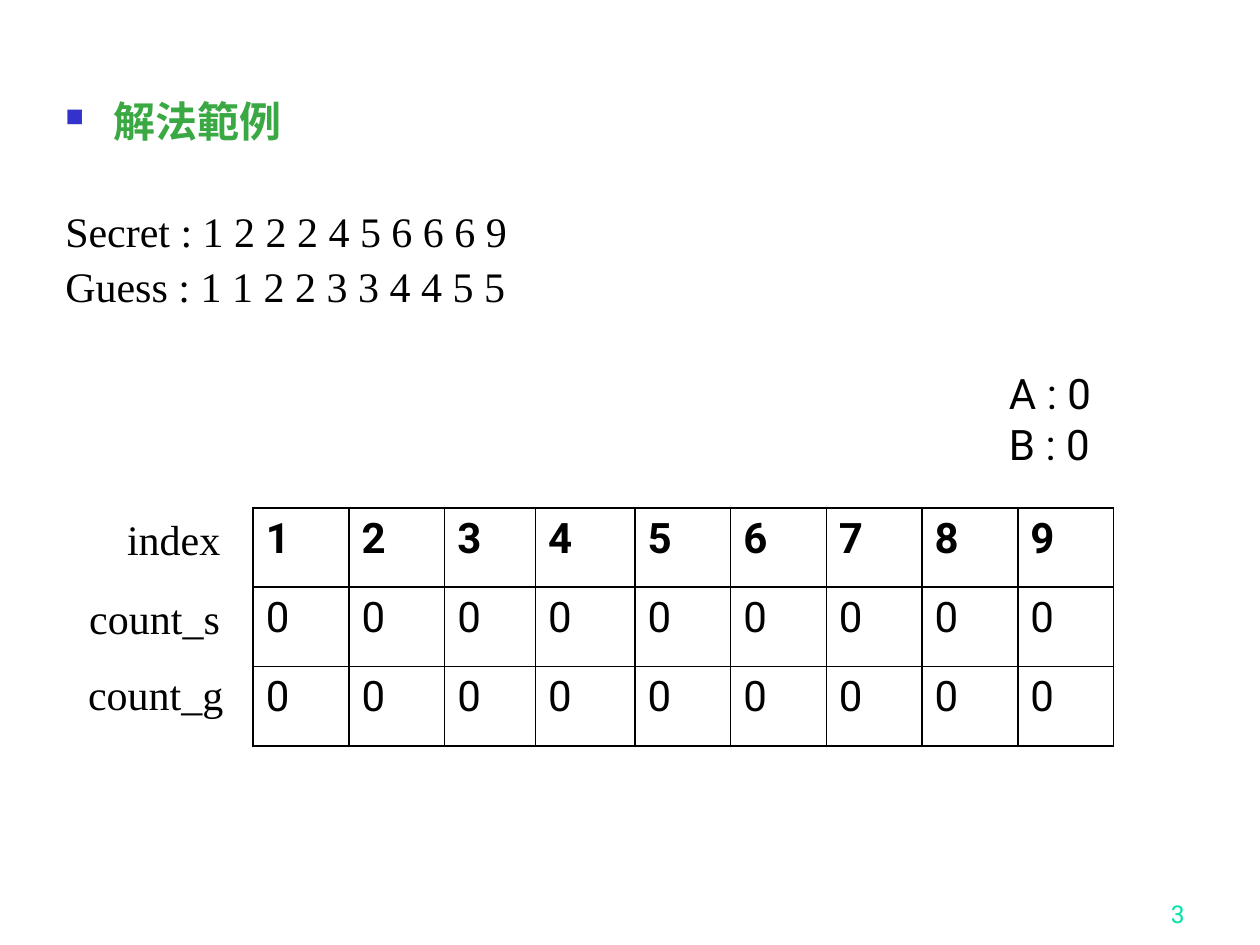
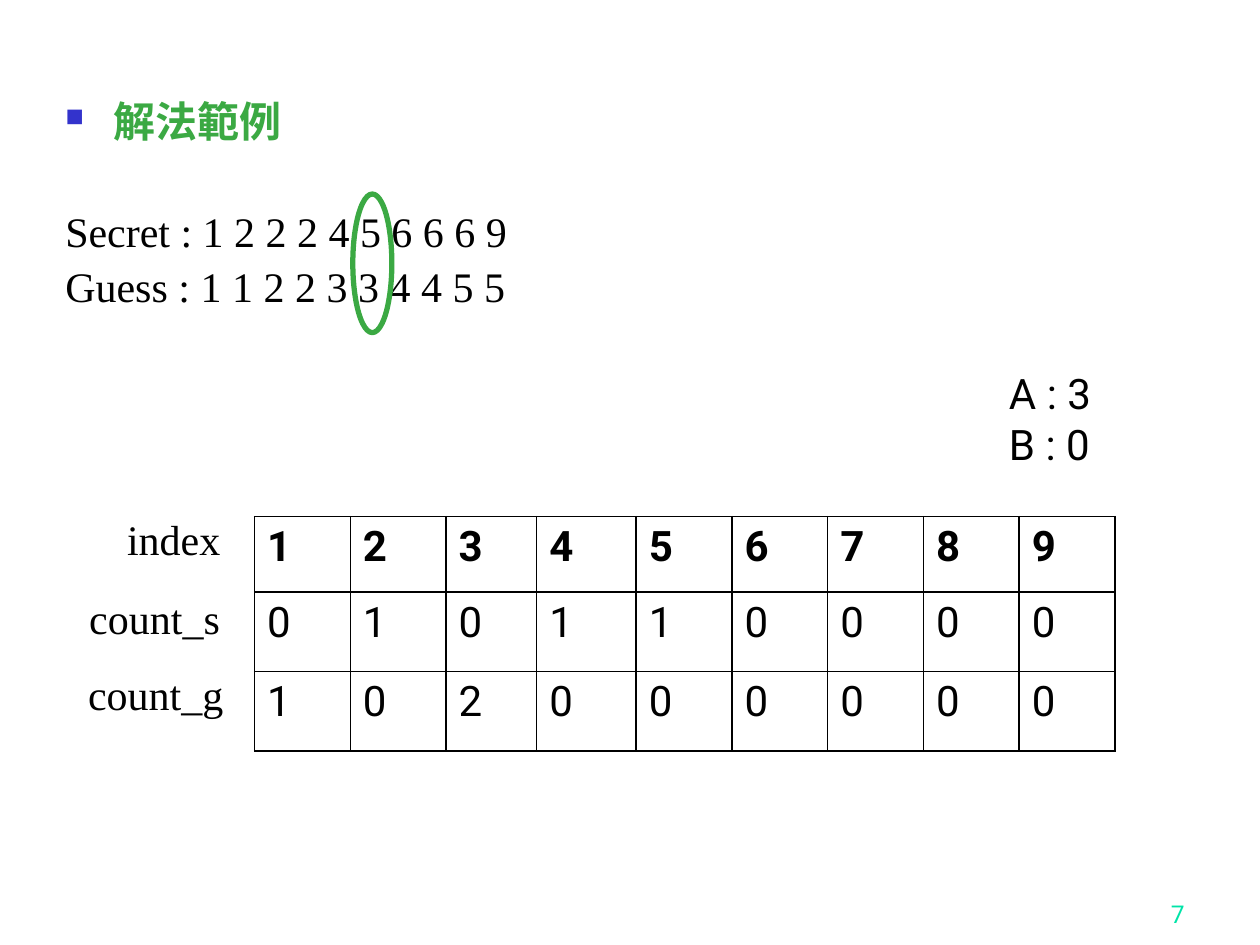
from dataclasses import dataclass

from lxml import etree
from pptx import Presentation
from pptx import util as u
from pptx.dml.color import RGBColor
from pptx.enum import shapes, text
from pptx.oxml.ns import qn


@dataclass(frozen=True)
class Theme:
    black: str = "000000"
    white: str = "FFFFFF"
    green: str = "3BA943"
    bullet: str = "3333CC"
    number: str = "00E4A8"
    serif: str = "Times New Roman"
    sans: str = "Roboto"
    body_size: int = 24
    number_size: int = 14


class Builder:
    """Holds the theme and the slide being filled."""

    def __init__(self, deck, theme):
        self.deck = deck
        self.theme = theme
        self.page = None

    def new_page(self):
        self.page = self.deck.slides.add_slide(self.deck.slide_layouts[6])

    def style(self, para, font, size=None, color=None, bold=False):
        for span in para.runs:
            span.font.name = font
            span.font.size = u.Pt(size or self.theme.body_size)
            span.font.color.rgb = RGBColor.from_string(color or self.theme.black)
            span.font.bold = bold

    def text_box(self, area, lines, font, size=None, color=None):
        box = self.page.shapes.add_textbox(*map(u.Inches, area))
        frame = box.text_frame
        frame.word_wrap = True
        frame.text = "\n".join(lines)
        for para in frame.paragraphs:
            self.style(para, font, size, color)
        return frame

    def label(self, area, lines, font):
        frame = self.text_box(area, lines, font)
        frame.auto_size = text.MSO_AUTO_SIZE.SHAPE_TO_FIT_TEXT

    def bullet(self, para):
        props = para._p.get_or_add_pPr()
        props.set("marL", str(u.Inches(0.38)))
        props.set("indent", str(-u.Inches(0.38)))
        color = etree.SubElement(props, qn("a:buClr"))
        etree.SubElement(color, qn("a:srgbClr"), val=self.theme.bullet)
        etree.SubElement(props, qn("a:buSzPct"), val="60000")
        etree.SubElement(props, qn("a:buChar"), char="■")

    def body(self, title, lines):
        frame = self.text_box((0.42, 0.75, 8.83, 6.15), [title, *lines], self.theme.serif)
        heading, first, *others = frame.paragraphs
        self.bullet(heading)
        self.style(heading, self.theme.serif, color=self.theme.green, bold=True)
        for para in frame.paragraphs:
            para.line_spacing = 0.9
        first.space_before = u.Pt(37)
        for para in others:
            para.space_before = u.Pt(6)

    def page_number(self, number):
        frame = self.text_box((7.42, 6.92, 2.08, 0.5), [str(number)], self.theme.sans,
                              self.theme.number_size, self.theme.number)
        frame.vertical_anchor = text.MSO_ANCHOR.BOTTOM
        frame.paragraphs[0].alignment = text.PP_ALIGN.RIGHT

    def cell_borders(self, cell):
        props = cell._tc.get_or_add_tcPr()
        for side in ("lnL", "lnR", "lnT", "lnB"):
            line = etree.SubElement(props, qn(f"a:{side}"), w=str(u.Pt(1)))
            fill = etree.SubElement(line, qn("a:solidFill"))
            etree.SubElement(fill, qn("a:srgbClr"), val=self.theme.black)

    def table(self, left, top, widths, heights, rows):
        area = (left, top, sum(widths), sum(heights))
        table = self.page.shapes.add_table(
            len(rows), len(widths), *map(u.Inches, area)).table
        table.horz_banding = False
        for column, width in zip(table.columns, widths):
            column.width = u.Inches(width)
        for r, (values, height) in enumerate(zip(rows, heights)):
            table.rows[r].height = u.Inches(height)
            for c, value in enumerate(values):
                cell = table.cell(r, c)
                self.cell_borders(cell)
                cell.fill.solid()
                cell.fill.fore_color.rgb = RGBColor.from_string(self.theme.white)
                cell.text_frame.text = str(value)
                self.style(cell.text_frame.paragraphs[0], self.theme.sans, bold=r == 0)

    def ring(self, area):
        ring = self.page.shapes.add_shape(shapes.MSO_SHAPE.OVAL, *map(u.Inches, area))
        ring.shadow.inherit = False
        ring.fill.background()
        ring.line.color.rgb = RGBColor.from_string(self.theme.green)
        ring.line.width = u.Pt(3)


# Content shared by every step of the worked example
TITLE = "解法範例"
GAME = ["Secret : 1 2 2 2 4 5 6 6 6 9", "Guess : 1 1 2 2 3 3 4 4 5 5"]
ROW_LABELS = [("index", 0.91, 4.03), ("count_s", 0.61, 4.65), ("count_g", 0.6, 5.26)]
COLUMN_WIDTHS = [0.76, 0.76, 0.72, 0.79] + [0.76] * 5


def step_page(builder, number, hits, count_s, count_g, table_at, header_height):
    builder.new_page()
    builder.page_number(number)
    builder.body(TITLE, GAME)
    builder.table(*table_at, COLUMN_WIDTHS, [header_height, 0.63, 0.63],
                  [range(1, 10), count_s, count_g])
    for name, left, top in ROW_LABELS:
        builder.label((left, top, 1.42, 0.5), [name], builder.theme.serif)
    builder.label((7.91, 2.87, 1, 0.94), [f"A : {hits}", "B : 0"], builder.theme.sans)


def main():
    deck = Presentation()
    deck.slide_width, deck.slide_height = u.Inches(10), u.Inches(7.5)
    builder = Builder(deck, Theme())

    # Starting state: all counters at zero
    step_page(builder, 3, 0, [0] * 9, [0] * 9, (2.01, 4.03), 0.63)

    # Sixth digit pair, circled
    step_page(builder, 7, 3, [0, 1, 0, 1, 1, 0, 0, 0, 0], [1, 0, 2, 0, 0, 0, 0, 0, 0],
              (2.02, 4.1), 0.6)
    builder.ring((2.8, 1.54, 0.31, 1.1))

    deck.save("out.pptx")


if __name__ == "__main__":
    main()
